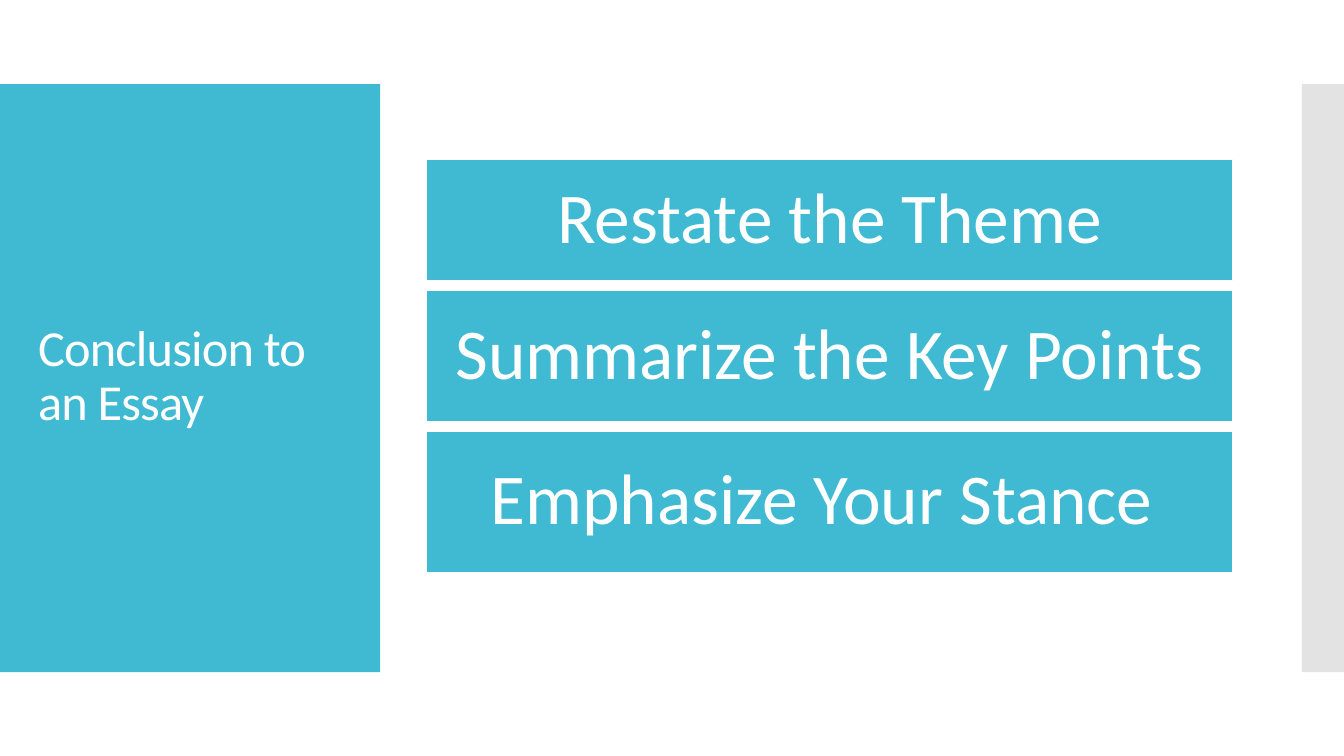
from dataclasses import dataclass

from lxml.etree import SubElement
from pptx import Presentation
from pptx.dml.color import RGBColor
from pptx.enum.shapes import MSO_SHAPE as Shape
from pptx.enum.text import MSO_ANCHOR as Anchor, PP_ALIGN as Align
from pptx.oxml.ns import qn
from pptx.util import Cm, Pt

# Content: each step with its bar height in cm
TITLE = "Conclusion to an Essay"
STEPS = [
    ("Restate the Theme", 3.07),
    ("Summarize the Key Points", 3.3),
    ("Emphasize Your Stance ", 3.56),
]


@dataclass(frozen=True)
class Theme:
    font: str = "Calibri"
    accent: RGBColor = RGBColor(0x40, 0xBA, 0xD2)
    edge: RGBColor = RGBColor(0xC8, 0xC8, 0xC8)
    white: RGBColor = RGBColor(0xFF, 0xFF, 0xFF)
    title_size: int = 36
    step_size: int = 51
    outline: float = 0.85


theme = Theme()

# Layout in cm
SLIDE_W, SLIDE_H = 33.87, 19.05
BAND_TOP, BAND_H = 2.12, 14.82
PANEL_W, EDGE_W = 9.58, 1.06
STEP_LEFT, STEP_TOP, STEP_W, STEP_GAP = 10.75, 4.01, 20.32, 0.24
STEP_INSET = 0.36

deck = Presentation()
deck.slide_width, deck.slide_height = Cm(SLIDE_W), Cm(SLIDE_H)
slide = deck.slides.add_slide(deck.slide_layouts[6])


def add_block(left, top, width, height, color):
    block = slide.shapes.add_shape(
        Shape.RECTANGLE, Cm(left), Cm(top), Cm(width), Cm(height))
    block.shadow.inherit = False
    block.fill.solid()
    block.fill.fore_color.rgb = color
    block.line.fill.background()
    return block


def write(frame, text, size, align):
    frame.text = text
    frame.word_wrap = True
    frame.vertical_anchor = Anchor.MIDDLE
    paragraph = frame.paragraphs[0]
    paragraph.alignment = align
    paragraph.line_spacing = 0.9
    run = paragraph.runs[0]
    run.font.name = theme.font
    run.font.size = Pt(size)
    run.font.color.rgb = theme.white
    return run


# Side panel and half-transparent right edge
add_block(0, BAND_TOP, PANEL_W, BAND_H, theme.accent)
edge = add_block(SLIDE_W - EDGE_W, BAND_TOP, EDGE_W, BAND_H, theme.edge)
edge_color = edge.fill._xPr.find(".//" + qn("a:srgbClr"))
SubElement(edge_color, qn("a:alpha"), val="50000")

# Title, slightly tightened
title = slide.shapes.add_textbox(Cm(0.71), Cm(3.12), Cm(8.18), Cm(12.78))
title_run = write(title.text_frame, TITLE, theme.title_size, Align.LEFT)
title_run.font._element.set("spc", "-60")

# Stacked steps
step_top = STEP_TOP
for step, step_height in STEPS:
    bar = add_block(STEP_LEFT, step_top, STEP_W, step_height, theme.accent)
    bar.line.color.rgb = theme.white
    bar.line.width = Pt(theme.outline)
    frame = bar.text_frame
    frame.margin_left = frame.margin_right = Cm(STEP_INSET)
    frame.margin_top = frame.margin_bottom = Cm(STEP_INSET)
    write(frame, step, theme.step_size, Align.CENTER)
    step_top += step_height + STEP_GAP

deck.save("out.pptx")
